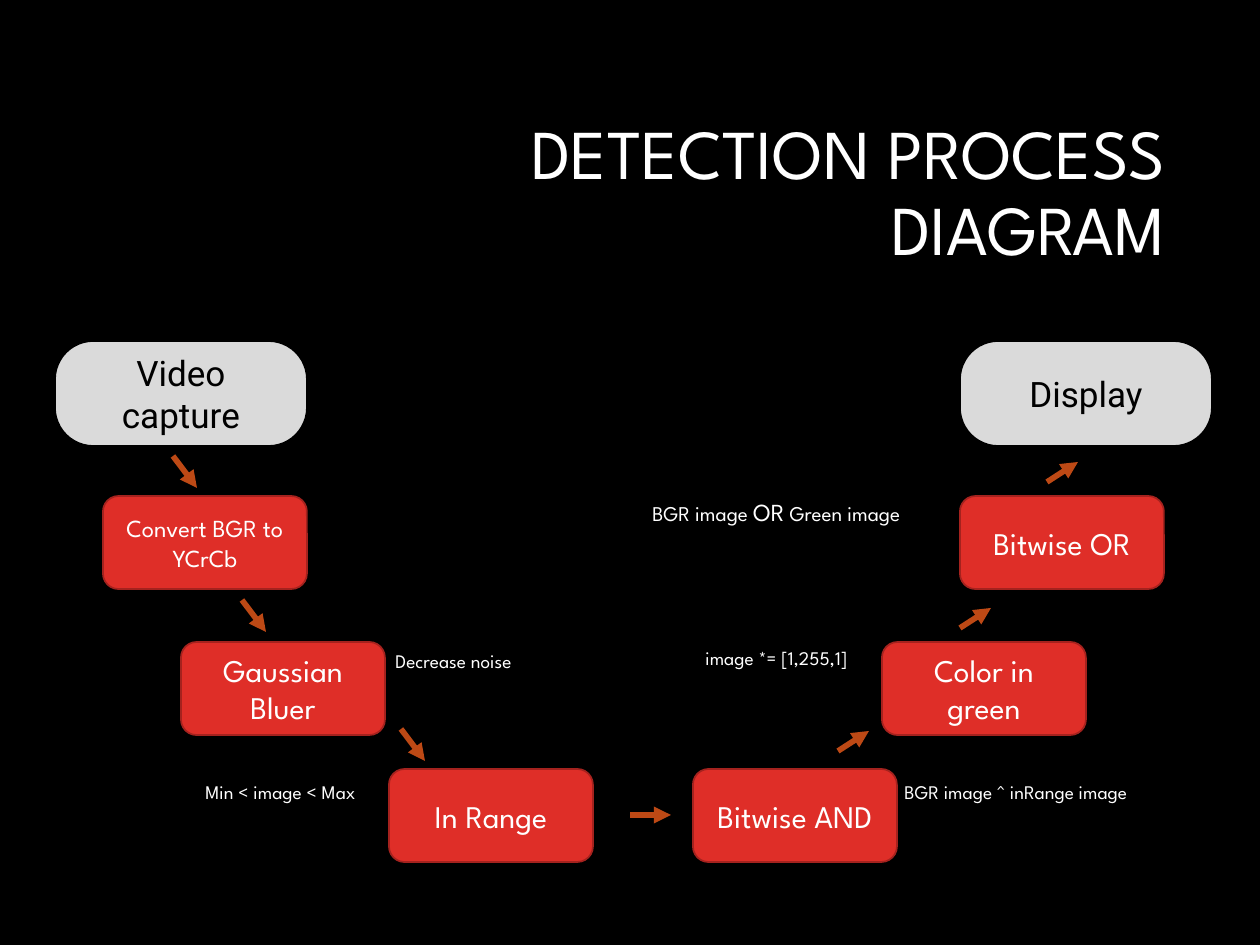
from typing import NamedTuple

from lxml.etree import SubElement
from pptx import Presentation
from pptx.dml.color import RGBColor
from pptx.enum.shapes import MSO_CONNECTOR, MSO_SHAPE
from pptx.enum.text import MSO_ANCHOR, PP_ALIGN
from pptx.oxml.ns import qn
from pptx.util import Pt

PX = 914400 / 126
COLORS = {"back": "000000", "text": "FFFFFF", "end": "DADADA", "step": "DF2E28",
          "edge": "A5221E", "arrow": "BD4915"}
SANS, ROUND = "League Spartan", "Roboto"


class Box(NamedTuple):
    text: str
    left: int
    top: int
    size: int = 18


class Note(NamedTuple):
    runs: list[tuple[str, int]]
    left: int
    top: int
    width: int
    height: int = 37


class Arrow(NamedTuple):
    left: int
    top: int
    dx: int
    dy: int


class Look(NamedTuple):
    width: int
    height: int
    curve: float
    fill: str
    line: str
    font: str
    ink: str


END = Look(252, 105, 0.365, "end", "back", ROUND, "back")
STEP = Look(204, 93, 0.167, "step", "edge", SANS, "text")

ENDS = [Box("Video capture", 55, 341, 20), Box("Display", 960, 341, 20)]
STEPS = [
    Box("Convert BGR to YCrCb", 103, 496, 14),
    Box("Gaussian Bluer", 181, 642),
    Box("In Range", 389, 769),
    Box("Bitwise AND", 693, 769),
    Box("Color in green", 882, 642),
    Box("Bitwise OR", 960, 496),
]
NOTES = [
    Note([("Min < image < Max", 11)], 193, 774, 220),
    Note([("Decrease noise", 11)], 383, 643, 179),
    Note([("BGR image ^ inRange image", 11)], 892, 774, 341),
    Note([("image *= [1,255,1]", 11)], 693, 640, 220),
    Note([("BGR image ", 12), ("OR", 14), (" Green image", 12)], 640, 491, 476, 43),
]
DOWN, UP = (24, 32), (31, -20)
ARROWS = [
    Arrow(173, 456, *DOWN), Arrow(242, 600, *DOWN), Arrow(401, 729, *DOWN),
    Arrow(630, 815, 41, 0),
    Arrow(838, 751, *UP), Arrow(960, 628, *UP), Arrow(1047, 482, *UP),
]


def px(*spans: int) -> list[int]:
    return [round(span * PX) for span in spans]


def color(name: str) -> RGBColor:
    return RGBColor.from_string(COLORS[name])


def style(run, size: int, font: str = SANS, ink: str = "text") -> None:
    run.font.size = Pt(size)
    run.font.name = font
    run.font.color.rgb = color(ink)


def add_box(slide, box: Box, look: Look) -> None:
    shape = slide.shapes.add_shape(MSO_SHAPE.ROUNDED_RECTANGLE,
                                   *px(box.left, box.top, look.width, look.height))
    shape.shadow.inherit = False
    shape.adjustments[0] = look.curve
    shape.fill.solid()
    shape.fill.fore_color.rgb = color(look.fill)
    shape.line.color.rgb = color(look.line)
    shape.line.width = Pt(1)
    frame = shape.text_frame
    frame.text = box.text
    frame.vertical_anchor = MSO_ANCHOR.MIDDLE
    para = frame.paragraphs[0]
    para.alignment = PP_ALIGN.CENTER
    style(para.runs[0], box.size, look.font, look.ink)


def add_note(slide, note: Note) -> None:
    frame = slide.shapes.add_textbox(
        *px(note.left, note.top, note.width, note.height)).text_frame
    frame.word_wrap = True
    for text, size in note.runs:
        run = frame.paragraphs[0].add_run()
        run.text = text
        style(run, size)


def add_arrow(slide, arrow: Arrow) -> None:
    line = slide.shapes.add_connector(
        MSO_CONNECTOR.STRAIGHT,
        *px(arrow.left, arrow.top, arrow.left + arrow.dx, arrow.top + arrow.dy))
    line.line.color.rgb = color("arrow")
    line.line.width = Pt(3.25)
    props = line._element.spPr
    SubElement(props.find(qn("a:ln")), qn("a:tailEnd"), type="triangle")
    SubElement(props, qn("a:effectLst"))


def add_title(slide, text: str) -> None:
    title = slide.shapes.title
    title.left, title.top, title.width, title.height = px(300, 106, 878, 178)
    frame = title.text_frame
    frame.text = text
    frame.word_wrap = True
    frame.vertical_anchor = MSO_ANCHOR.MIDDLE
    para = frame.paragraphs[0]
    para.alignment = PP_ALIGN.RIGHT
    para.line_spacing = 0.9
    style(para.runs[0], 40)


def main() -> None:
    deck = Presentation()
    deck.slide_width, deck.slide_height = px(1260, 945)
    slide = deck.slides.add_slide(deck.slide_layouts[5])
    slide.background.fill.solid()
    slide.background.fill.fore_color.rgb = color("back")
    add_title(slide, "DETECTION PROCESS DIAGRAM")
    for box in ENDS:
        add_box(slide, box, END)
    for box in STEPS:
        add_box(slide, box, STEP)
    for note in NOTES:
        add_note(slide, note)
    for arrow in ARROWS:
        add_arrow(slide, arrow)
    deck.save("out.pptx")


if __name__ == "__main__":
    main()
